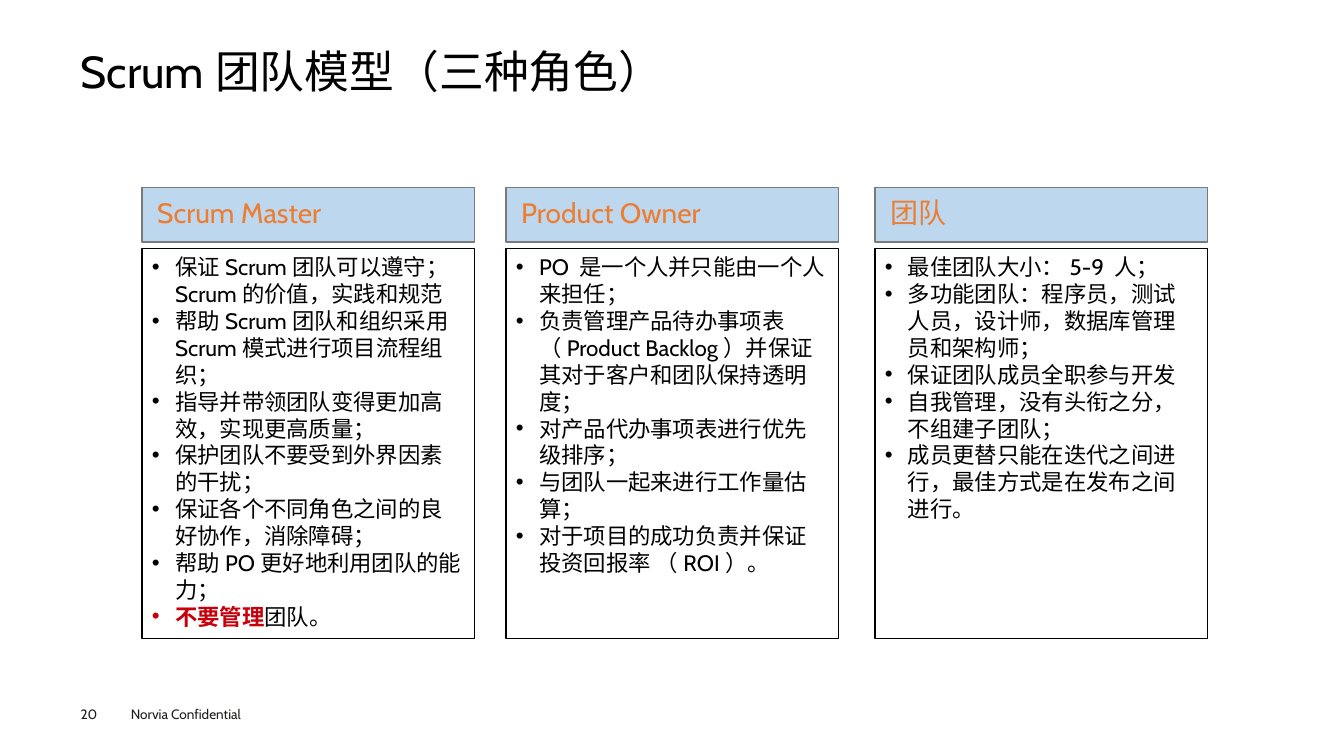
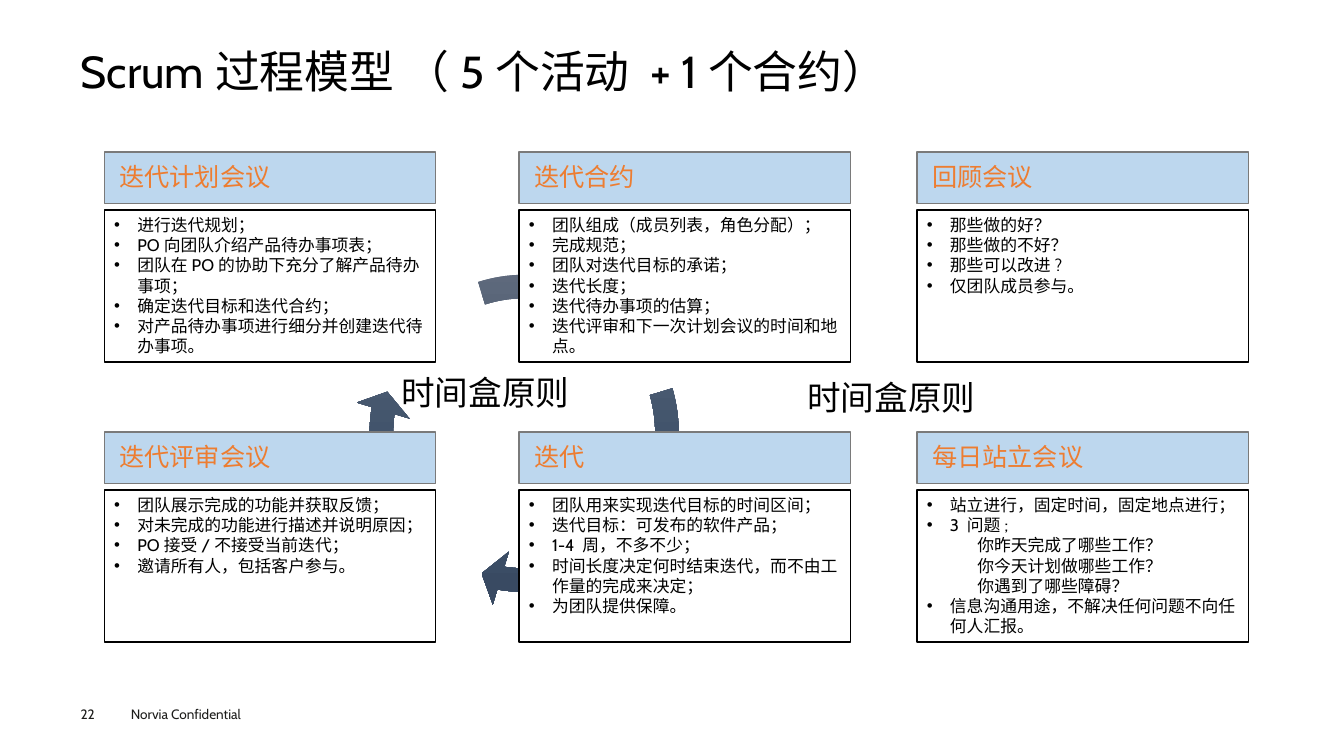
from copy import deepcopy
from typing import NamedTuple

from lxml.etree import SubElement
from pptx import Presentation
from pptx.dml.color import RGBColor
from pptx.enum.lang import MSO_LANGUAGE_ID as Language
from pptx.enum.shapes import MSO_SHAPE as Shape
from pptx.enum.text import MSO_ANCHOR as Anchor
from pptx.oxml.ns import qn
from pptx.util import Pt

BLACK, WHITE = "000000", "FFFFFF"
CARD_GAP = 4.5


class Item(NamedTuple):
    """A line of a card: optional red lead, then text; indented lines have no bullet."""
    text: str
    lead: str = ""
    indented: bool = False


def color(hex_value):
    return RGBColor.from_string(hex_value)


def set_indent(paragraph, left, first=0.0, bullet=None):
    properties = paragraph._p.get_or_add_pPr()
    properties.set("marL", str(Pt(left)))
    properties.set("indent", str(Pt(first)))
    if bullet:
        SubElement(properties, qn("a:buFont")).set("typeface", "Arial")
        SubElement(properties, qn("a:buChar")).set("char", bullet)


def set_gradient(fill, hex_values):
    """Fill from top to bottom with evenly spaced stops."""
    fill.gradient()
    fill.gradient_angle = 270
    stops = fill.gradient_stops
    stop_list = stops[0]._gs.getparent()
    for _ in range(len(hex_values) - len(stops)):
        stop_list.append(deepcopy(stop_list[-1]))
    for index, (stop, hex_value) in enumerate(zip(fill.gradient_stops, hex_values)):
        stop.color.rgb = color(hex_value)
        stop.position = index / (len(hex_values) - 1)


class Deck:
    FONT = "Cabin"
    FOOTER = "Norvia Confidential"
    FOOTER_COLOR = "1D1D1B"
    HEADING_FILL, HEADING_LINE, HEADING_TEXT = "BDD7EE", "7A7A7A", "ED7D31"
    LEAD_COLOR = "C7000B"
    ARROW_COLORS = ("606B7D", "42546C", "394A62")
    WIDE_MARGINS = (10.8, 8.64)
    BODY_MARGINS = (7.2, 3.6)

    def __init__(self):
        self.presentation = Presentation()
        self.presentation.slide_width = Pt(960)
        self.presentation.slide_height = Pt(540)
        self.slide = None

    def add_slide(self, title, number):
        layout = self.presentation.slide_layouts[6]
        self.slide = self.presentation.slides.add_slide(layout)
        self.text(self.FOOTER, 86.4, 500.4, 115, 19.5, 9.7,
                  self.FOOTER_COLOR, self.BODY_MARGINS)
        self.text(str(number), 57.6, 504, 40, 11.5, 9.7, self.FOOTER_COLOR)
        self.text(title, 57.6, 35.3, 844.5, 39, 32, spacing=0.9)

    def style_run(self, run, size, hex_value, bold=False):
        font = run.font
        font.name, font.size, font.bold = self.FONT, Pt(size), bold
        font.color.rgb = color(hex_value)
        font.language_id = Language.SIMPLIFIED_CHINESE

    def set_frame(self, frame, margins, anchor=Anchor.TOP, wrap=True):
        frame.margin_left = frame.margin_right = Pt(margins[0])
        frame.margin_top = frame.margin_bottom = Pt(margins[1])
        frame.vertical_anchor = anchor
        frame.word_wrap = wrap

    def set_line(self, frame, text, size, hex_value, spacing):
        frame.text = text
        paragraph = frame.paragraphs[0]
        paragraph.alignment = 1
        paragraph.line_spacing = spacing
        self.style_run(paragraph.runs[0], size, hex_value)

    def text(self, text, left, top, width, height, size, hex_value=BLACK,
             margins=(0, 0), spacing=1.0, wrap=True):
        box = self.slide.shapes.add_textbox(Pt(left), Pt(top), Pt(width), Pt(height))
        self.set_frame(box.text_frame, margins, wrap=wrap)
        self.set_line(box.text_frame, text, size, hex_value, spacing)

    def label(self, text, left, top):
        self.text(text, left, top, 142.5, 43.2, 24, margins=self.WIDE_MARGINS,
                  spacing=0.9, wrap=False)

    def box(self, left, top, width, height, fill, line):
        shape = self.slide.shapes.add_shape(
            Shape.RECTANGLE, Pt(left), Pt(top), Pt(width), Pt(height))
        shape.shadow.inherit = False
        shape.fill.solid()
        shape.fill.fore_color.rgb = color(fill)
        shape.line.color.rgb = color(line)
        shape.line.width = Pt(1)
        return shape

    def heading(self, text, left, top, width, height, size):
        shape = self.box(left, top, width, height, self.HEADING_FILL, self.HEADING_LINE)
        self.set_frame(shape.text_frame, self.WIDE_MARGINS, Anchor.MIDDLE)
        self.set_line(shape.text_frame, text, size, self.HEADING_TEXT, 0.9)

    def body(self, items, left, top, width, height, size):
        frame = self.box(left, top, width, height, WHITE, BLACK).text_frame
        self.set_frame(frame, self.BODY_MARGINS)
        items = [item if isinstance(item, Item) else Item(item) for item in items]
        frame.text = "\n".join(item.lead or item.text for item in items)
        for paragraph, item in zip(frame.paragraphs, items):
            paragraph.alignment = 1
            if item.indented:
                set_indent(paragraph, 36)
            else:
                set_indent(paragraph, 16.5, -16.5, "•")
            if item.lead:
                self.style_run(paragraph.runs[0], size, self.LEAD_COLOR, bold=True)
                paragraph.add_run().text = item.text
            self.style_run(paragraph.runs[-1], size, BLACK)

    def card(self, title, items, left, top, width, heights, sizes):
        """A heading with a body below; heights and sizes are (heading, body)."""
        self.heading(title, left, top, width, heights[0], sizes[0])
        self.body(items, left, top + heights[0] + CARD_GAP, width, heights[1], sizes[1])

    def cycle(self, left, top, width, height, count):
        """Curved arrows around one centre, each a quarter turn (54 units) on."""
        for index in range(count):
            arrow = self.slide.shapes.add_shape(
                Shape.CIRCULAR_ARROW, Pt(left), Pt(top), Pt(width), Pt(height))
            arrow.shadow.inherit = False
            arrow.line.fill.background()
            turn = 54 * index
            values = (0.069, 4.654, 5.49 + turn, (205.855 + turn) % 216, 0.081)
            for position, value in enumerate(values):
                arrow.adjustments[position] = value
            set_gradient(arrow.fill, self.ARROW_COLORS)


ROLES = [
    ("Scrum Master", [
        "保证Scrum团队可以遵守；Scrum的价值，实践和规范",
        "帮助Scrum团队和组织采用Scrum模式进行项目流程组织；",
        "指导并带领团队变得更加高效，实现更高质量；",
        "保护团队不要受到外界因素的干扰；",
        "保证各个不同角色之间的良好协作，消除障碍；",
        "帮助PO更好地利用团队的能力；",
        Item("团队。", lead="不要管理"),
    ]),
    ("Product Owner", [
        "PO 是一个人并只能由一个人来担任；",
        "负责管理产品待办事项表（Product Backlog）并保证其对于客户和团队保持透明度；",
        "对产品代办事项表进行优先级排序；",
        "与团队一起来进行工作量估算；",
        "对于项目的成功负责并保证投资回报率 （ROI）。",
    ]),
    ("团队", [
        "最佳团队大小：5-9 人；",
        "多功能团队：程序员，测试人员，设计师，数据库管理员和架构师；",
        "保证团队成员全职参与开发",
        "自我管理，没有头衔之分，不组建子团队；",
        "成员更替只能在迭代之间进行，最佳方式是在发布之间进行。",
    ]),
]

ACTIVITY_ROWS = [
    [
        ("迭代计划会议", [
            "进行迭代规划；",
            "PO向团队介绍产品待办事项表；",
            "团队在PO的协助下充分了解产品待办事项；",
            "确定迭代目标和迭代合约；",
            "对产品待办事项进行细分并创建迭代待办事项。",
        ]),
        ("迭代合约", [
            "团队组成（成员列表，角色分配）；",
            "完成规范；",
            "团队对迭代目标的承诺；",
            "迭代长度；",
            "迭代待办事项的估算；",
            "迭代评审和下一次计划会议的时间和地点。",
        ]),
        ("回顾会议", [
            "那些做的好？",
            "那些做的不好？",
            "那些可以改进?",
            "仅团队成员参与。",
        ]),
    ],
    [
        ("迭代评审会议", [
            "团队展示完成的功能并获取反馈；",
            "对未完成的功能进行描述并说明原因；",
            "PO接受/不接受当前迭代；",
            "邀请所有人，包括客户参与。",
        ]),
        ("迭代", [
            "团队用来实现迭代目标的时间区间；",
            "迭代目标：可发布的软件产品；",
            "1-4 周，不多不少；",
            "时间长度决定何时结束迭代，而不由工作量的完成来决定；",
            "为团队提供保障。",
        ]),
        ("每日站立会议", [
            "站立进行，固定时间，固定地点进行；",
            "3 问题;",
            Item("你昨天完成了哪些工作？", indented=True),
            Item("你今天计划做哪些工作？", indented=True),
            Item("你遇到了哪些障碍？", indented=True),
            "信息沟通用途，不解决任何问题不向任何人汇报。",
        ]),
    ],
]


def add_roles_slide(deck):
    deck.add_slide("Scrum团队模型（三种角色）", 20)
    for left, (title, items) in zip((101.5, 361.5, 625), ROLES):
        deck.card(title, items, left, 134, 237.6, (39, 278.6), (20, 16))


def add_process_slide(deck):
    deck.add_slide("Scrum过程模型 （5个活动 + 1个合约）", 22)
    deck.cycle(252.7, 185, 243.4, 249.1, 4)
    for top, row in zip((108.7, 308.7), ACTIVITY_ROWS):
        for left, (title, items) in zip((74.5, 370.8, 655), row):
            deck.card(title, items, left, top, 236.7, (36.7, 108.8), (18, 12))
    deck.label("时间盒原则", 565.9, 263.5)
    deck.label("时间盒原则", 275.8, 260.6)


def main():
    deck = Deck()
    add_roles_slide(deck)
    add_process_slide(deck)
    deck.presentation.save("out.pptx")


if __name__ == "__main__":
    main()
